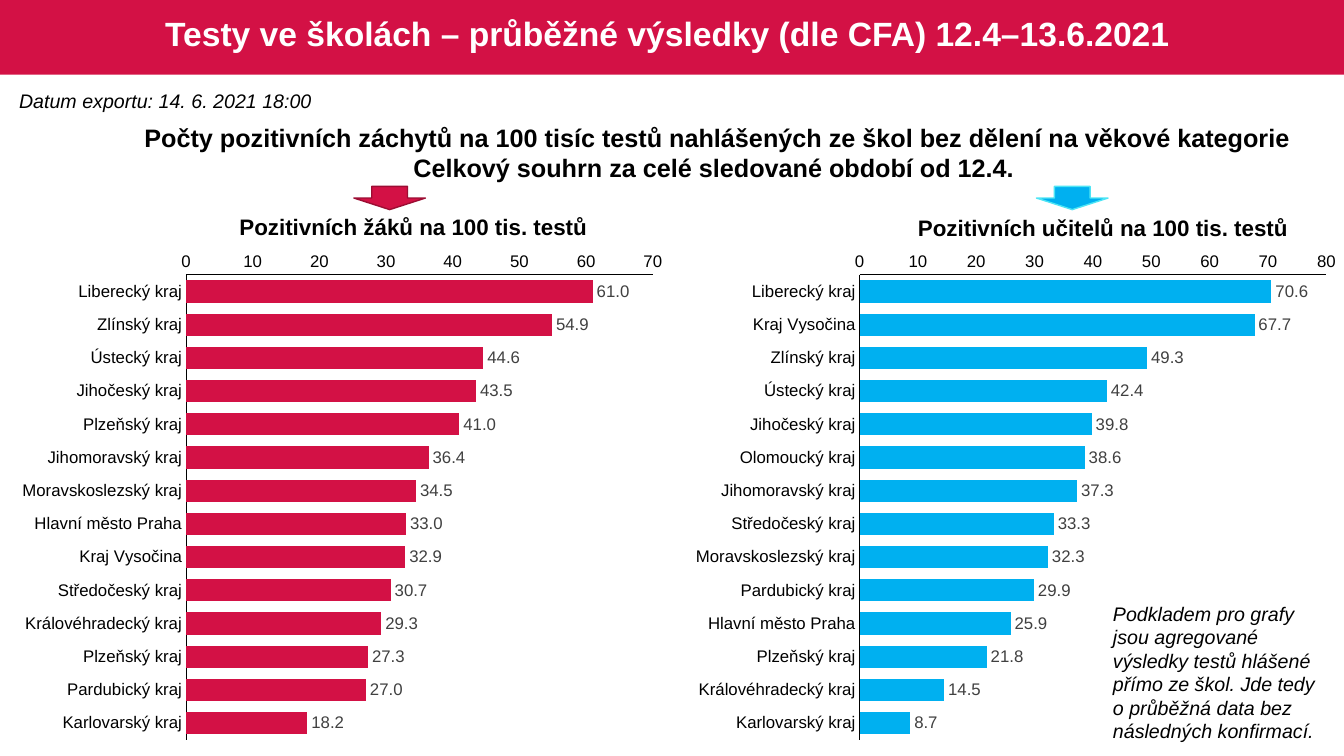
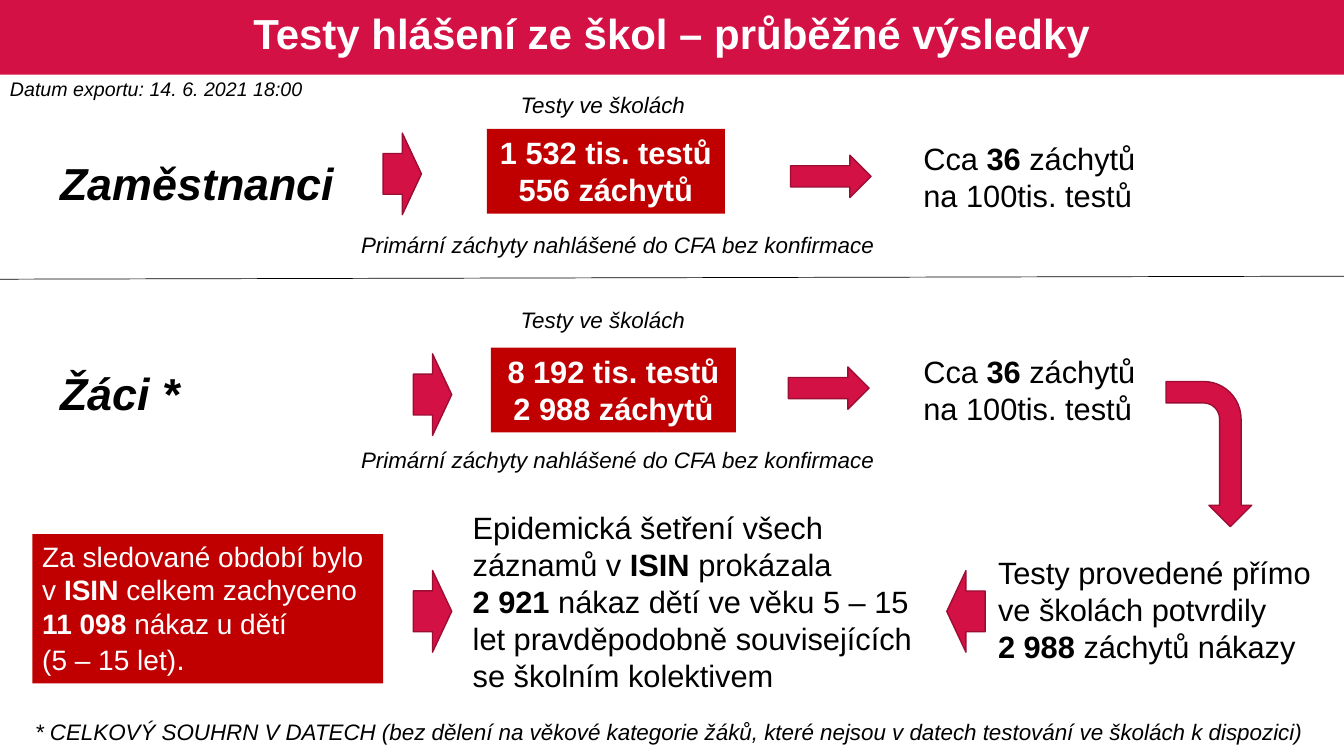
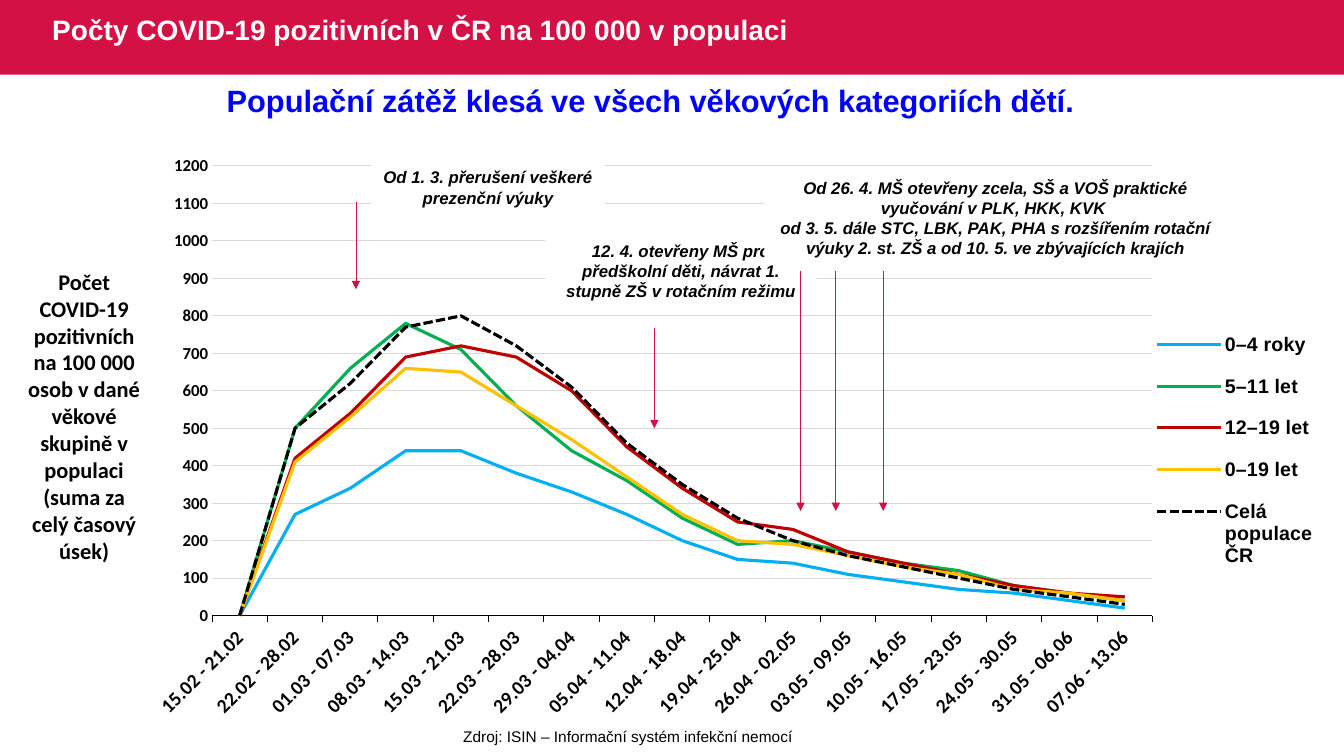
from pptx import Presentation
from pptx.chart.data import CategoryChartData
from pptx.dml.color import RGBColor
from pptx.enum.chart import XL_CHART_TYPE, XL_LABEL_POSITION, XL_LEGEND_POSITION, XL_TICK_MARK
from pptx.enum.dml import MSO_LINE
from pptx.enum.shapes import MSO_CONNECTOR, MSO_SHAPE
from pptx.enum.text import MSO_ANCHOR, PP_ALIGN
from pptx.oxml import parse_xml
from pptx.oxml.ns import nsdecls, qn
from pptx.util import Inches, Pt

W, H = 13.33, 7.5
RECT, DOWN, RIGHT, BENT = MSO_SHAPE.RECTANGLE, MSO_SHAPE.DOWN_ARROW, MSO_SHAPE.RIGHT_ARROW, MSO_SHAPE.BENT_ARROW
LEFT, CENTER = PP_ALIGN.LEFT, PP_ALIGN.CENTER
NONE, OUTSIDE = XL_TICK_MARK.NONE, XL_TICK_MARK.OUTSIDE
C = {
    "crimson": "D31145", "crimson_edge": "9C0D33", "sky": "00B0F0", "sky_edge": "4DE5F5",
    "red": "C00000", "green": "00B050", "amber": "FFC000", "blue": "0000FF",
    "black": "000000", "white": "FFFFFF", "label": "404040", "grid": "D9D9D9",
}

STYLES = {
    "date": dict(size=14, italic=True),
    "note": dict(size=14, italic=True),
    "headline": dict(size=18, bold=True, align=CENTER),
    "chart_title": dict(size=16, bold=True, align=CENTER),
    "group": dict(size=32, bold=True, italic=True),
    "caption": dict(size=16, italic=True, align=CENTER),
    "footnote": dict(size=16, italic=True),
    "counts": dict(size=22, bold=True, color="white", fill="red", align=CENTER),
    "summary": dict(size=20, color="white", fill="red"),
    "fact": dict(size=22, fill="white"),
    "message": dict(size=22, bold=True, color="blue", align=CENTER),
    "axis_title": dict(size=16, bold=True, align=CENTER, font="Calibri"),
    "event": dict(size=12, bold=True, italic=True, fill="white", align=CENTER),
    "source": dict(size=11, align=CENTER),
}
EXPORT_DATE = "Datum exportu: 14. 6. 2021 18:00"

PUPILS = [
    ("Liberecký kraj", 61.0), ("Zlínský kraj", 54.9), ("Ústecký kraj", 44.6), ("Jihočeský kraj", 43.5),
    ("Plzeňský kraj", 41.0), ("Jihomoravský kraj", 36.4), ("Moravskoslezský kraj", 34.5),
    ("Hlavní město Praha", 33.0), ("Kraj Vysočina", 32.9), ("Středočeský kraj", 30.7),
    ("Královéhradecký kraj", 29.3), ("Plzeňský kraj", 27.3), ("Pardubický kraj", 27.0), ("Karlovarský kraj", 18.2),
]
TEACHERS = [
    ("Liberecký kraj", 70.6), ("Kraj Vysočina", 67.7), ("Zlínský kraj", 49.3), ("Ústecký kraj", 42.4),
    ("Jihočeský kraj", 39.8), ("Olomoucký kraj", 38.6), ("Jihomoravský kraj", 37.3),
    ("Středočeský kraj", 33.3), ("Moravskoslezský kraj", 32.3), ("Pardubický kraj", 29.9),
    ("Hlavní město Praha", 25.9), ("Plzeňský kraj", 21.8), ("Královéhradecký kraj", 14.5), ("Karlovarský kraj", 8.7),
]
REGION_CHARTS = [
    ("Pozitivních žáků na 100 tis. testů", (2.25, 2.07, 3.7, 0.37), PUPILS, 0.09, 3.51, "crimson", "crimson_edge"),
    ("Pozitivních učitelů na 100 tis. testů", (8.98, 2.08, 3.92, 0.37), TEACHERS, 6.77, 10.28, "sky", "sky_edge"),
]
REGION_TEXTS = [
    ("date", (0.09, 0.83, 3.12, 0.34), EXPORT_DATE, False),
    ("headline", (1.28, 1.16, 11.67, 0.71),
     "Počty pozitivních záchytů na 100 tisíc testů nahlášených ze škol bez dělení na věkové kategorie\n"
     "Celkový souhrn za celé sledované období od 12.4. ", False),
    ("note", (10.94, 5.92, 2.35, 1.51),
     "Podkladem pro grafy jsou agregované výsledky testů hlášené přímo ze škol. "
     "Jde tedy o průběžná data bez následných konfirmací.", True),
]

GROUPS = [
    ("Zaměstnanci", 1.5, "1 532 tis. testů\n556 záchytů", (4.83, 1.28, 2.36, 0.84), 1.34, 0.86, 2.24),
    ("Žáci *", 3.58, "8 192 tis. testů\n2 988 záchytů", (4.87, 3.45, 2.43, 0.84), 3.45, 2.99, 4.38),
]
FLOW_TEXTS = [
    ("footnote", (0.25, 7.08, 13.23, 0.37),
     "* CELKOVÝ SOUHRN V DATECH (bez dělení na věkové kategorie žáků, "
     "které nejsou v datech testování ve školách k dispozici)", True),
    ("date", (0, 0.71, 3.12, 0.34), EXPORT_DATE, False),
    ("fact", (9.8, 5.44, 3.51, 1.21),
     "Testy provedené přímo ve školách potvrdily\n**2 988 **záchytů nákazy", True),
    ("fact", (4.59, 5, 4.74, 1.95),
     "Epidemická šetření všech záznamů v **ISIN** prokázala\n"
     "**2 921 **nákaz dětí ve věku 5 – 15 let pravděpodobně souvisejících se školním kolektivem", True),
]
SUMMARY = ("Za sledované období bylo v **ISIN** celkem zachyceno\n"
           "**11 098 **nákaz u dětí\n(5 – 15 let)")
FLOW_ARROWS = [
    (RIGHT, (7.84, 1.54, 0.8, 0.42), 0), (RIGHT, (7.82, 3.64, 0.8, 0.42), 0),
    (RIGHT, (3.8, 1.32, 0.38, 0.81), 0), (RIGHT, (4.1, 3.51, 0.38, 0.81), 0),
    (RIGHT, (4.1, 5.66, 0.38, 0.81), 0), (RIGHT, (9.39, 5.66, 0.38, 0.81), 180),
    (BENT, (11.27, 4.08, 1.44, 0.85), 90),
]

WEEKS = [
    "15.02 - 21.02", "22.02 - 28.02", "01.03 - 07.03", "08.03 - 14.03", "15.03 - 21.03", "22.03 - 28.03",
    "29.03 - 04.04", "05.04 - 11.04", "12.04 - 18.04", "19.04 - 25.04", "26.04 - 02.05", "03.05 - 09.05",
    "10.05 - 16.05", "17.05 - 23.05", "24.05 - 30.05", "31.05 - 06.06", "07.06 - 13.06",
]
AGES = [
    ("0–4 roky", "sky", [0, 270, 340, 440, 440, 380, 330, 270, 200, 150, 140, 110, 90, 70, 60, 40, 20]),
    ("5–11 let", "green", [0, 500, 660, 780, 710, 560, 440, 360, 260, 190, 200, 170, 140, 120, 80, 60, 40]),
    ("12–19 let", "red", [0, 420, 540, 690, 720, 690, 600, 450, 340, 250, 230, 170, 140, 110, 80, 60, 50]),
    ("0–19 let", "amber", [0, 410, 530, 660, 650, 560, 470, 370, 270, 200, 190, 160, 130, 110, 70, 60, 40]),
    ("Celá populace ČR", "black", [0, 500, 620, 770, 800, 720, 610, 460, 350, 260, 200, 160, 130, 100, 70, 50, 30]),
]
TREND_TEXTS = [
    ("source", (2.36, 7.16, 7.74, 0.29), "Zdroj: ISIN – Informační systém infekční nemocí", True),
    ("axis_title", (0.15, 2.61, 1.37, 3.06),
     "Počet COVID-19 pozitivních na 100 000 osob v dané věkové skupině v populaci (suma za celý časový úsek)", True),
    ("message", (0.29, 0.76, 12.41, 0.47), "Populační zátěž klesá ve všech věkových kategoriích dětí. ", True),
    ("event", (3.68, 1.61, 2.32, 0.5), "Od 1. 3. přerušení veškeré prezenční výuky", True),
    ("event", (5.41, 2.34, 2.69, 0.71),
     "12. 4. otevřeny MŠ pro předškolní děti, návrat 1. stupně ZŠ v rotačním režimu", True),
    ("event", (7.58, 1.71, 4.59, 0.91),
     "Od 26. 4. MŠ otevřeny zcela, SŠ a VOŠ praktické vyučování v PLK, HKK, KVK \n"
     "od 3. 5. dále STC, LBK, PAK, PHA s rozšířením rotační výuky 2. st. ZŠ a od 10. 5. ve zbývajících krajích", True),
]
EVENT_ARROWS = [(3.53, 2, 2.87), (6.49, 3.25, 4.25), (7.94, 2.69, 5.07), (8.29, 2.69, 5.07), (8.76, 2.69, 5.07)]


def rgb(name):
    return RGBColor.from_string(C[name])


def box(at):
    return [Inches(v) for v in at]


def set_font(font, size, color="black", bold=False, italic=False, name="Arial"):
    font.size, font.bold, font.italic, font.name = Pt(size), bold, italic, name
    font.color.rgb = rgb(color)


def add_shape(s, kind, at, fill, edge=None, rotation=0):
    sp = s.shapes.add_shape(kind, *box(at))
    sp.shadow.inherit = False
    sp.rotation = rotation
    sp.fill.solid()
    sp.fill.fore_color.rgb = rgb(fill)
    if edge:
        sp.line.color.rgb = rgb(edge)
        sp.line.width = Pt(1)
    else:
        sp.line.fill.background()
    return sp


def add_text(s, at, text, size, color="black", bold=False, italic=False,
             align=LEFT, font="Arial", fill=None, wrap=True):
    sp = add_shape(s, RECT, at, fill) if fill else s.shapes.add_textbox(*box(at))
    tf = sp.text_frame
    tf.word_wrap = wrap
    tf.vertical_anchor = MSO_ANCHOR.TOP
    for i, line in enumerate(text.split("\n")):
        p = tf.paragraphs[0] if i == 0 else tf.add_paragraph()
        p.alignment = align
        for j, part in enumerate(line.split("**")):
            if part:
                r = p.add_run()
                r.text = part
                set_font(r.font, size, color, bold or j % 2 == 1, italic, font)
    return tf


def add_texts(s, items):
    for style, at, text, wrap in items:
        add_text(s, at, text, wrap=wrap, **STYLES[style])


def add_line(s, start, end, color, arrow=False):
    line = s.shapes.add_connector(MSO_CONNECTOR.STRAIGHT, *box(start + end))
    line.line.color.rgb = rgb(color)
    line.line.width = Pt(0.5)
    if arrow:
        line.line._get_or_add_ln().append(parse_xml(f'<a:tailEnd {nsdecls("a")} type="triangle"/>'))
    line._element.spPr.append(parse_xml(f'<a:effectLst {nsdecls("a")}/>'))


def new_slide(prs, title, size, at=(0.18, 0.04, 12.97, 0.63), align=CENTER):
    s = prs.slides.add_slide(prs.slide_layouts[6])
    add_shape(s, RECT, (0, 0, W, 0.74), "crimson")
    tf = add_text(s, at, title, size, "white", bold=True, align=align)
    tf.vertical_anchor = MSO_ANCHOR.MIDDLE
    tf.paragraphs[0].line_spacing = 0.9
    return s


def add_chart(s, kind, at, cats, series):
    data = CategoryChartData()
    data.categories = cats
    for name, values in series:
        data.add_series(name, values)
    chart = s.shapes.add_chart(kind, *box(at), data).chart
    chart.has_title = chart.has_legend = False
    chart.plots[0].vary_by_categories = False
    return chart


def style_axis(axis, size, tick=NONE, bold=False, name="Arial"):
    axis.major_tick_mark, axis.minor_tick_mark = tick, NONE
    axis.has_major_gridlines = False
    set_font(axis.tick_labels.font, size, bold=bold, name=name)
    axis.format.line.color.rgb = rgb("black")
    axis.format.line.width = Pt(0.75)


def layout_xml(x, y, w, h, target=""):
    shares = "".join(f'<c:{k} val="{v}"/>' for k, v in zip("xywh", (x, y, w, h)))
    return parse_xml(f'<c:layout {nsdecls("c")}><c:manualLayout>{target}<c:xMode val="edge"/>'
                     f'<c:yMode val="edge"/>{shares}</c:manualLayout></c:layout>')


def drop_layout(element):
    for old in element.findall(qn("c:layout")):
        element.remove(old)


def add_region_chart(s, left, rows, color):
    cats, values = zip(*rows)
    chart = add_chart(s, XL_CHART_TYPE.BAR_CLUSTERED, (left, 2.41, 6.61, 5.03), cats, [("Series 1", values)])
    set_font(chart.font, 10)
    for axis in (chart.category_axis, chart.value_axis):
        style_axis(axis, 12)
    chart.category_axis.reverse_order = True
    chart.value_axis.minimum_scale = 0
    chart.value_axis.tick_labels.number_format = "0"
    chart.value_axis.tick_labels.number_format_is_linked = False
    plot = chart.plots[0]
    plot.gap_width = 50
    fill = plot.series[0].format.fill
    fill.solid()
    fill.fore_color.rgb = rgb(color)
    plot.has_data_labels = True
    labels = plot.data_labels
    labels.show_value = True
    labels.number_format, labels.number_format_is_linked = "#,##0.0", False
    labels.position = XL_LABEL_POSITION.OUTSIDE_END
    set_font(labels.font, 12, "label")


def add_trend_chart(s):
    chart = add_chart(s, XL_CHART_TYPE.LINE, (1.52, 1.53, 11.66, 5.87), WEEKS, [(n, v) for n, _, v in AGES])
    set_font(chart.font, 14, bold=True)
    cat, val = chart.category_axis, chart.value_axis
    style_axis(cat, 14, OUTSIDE, True, "Calibri")
    cat._element.find(qn("c:txPr")).find(qn("a:bodyPr")).set("rot", "-2700000")
    style_axis(val, 12, NONE, True, "Calibri")
    val.format.line.fill.background()
    val.minimum_scale, val.maximum_scale, val.major_unit = 0, 1200, 100
    val.has_major_gridlines = True
    val.major_gridlines.format.line.color.rgb = rgb("grid")
    val.major_gridlines.format.line.width = Pt(0.75)
    for ser, (_, color, _) in zip(chart.plots[0].series, AGES):
        ser.smooth = False
        ser.format.line.color.rgb = rgb(color)
        ser.format.line.width = Pt(2.25)
    ser.format.line.dash_style = MSO_LINE.SQUARE_DOT
    chart.has_legend = True
    legend = chart.legend
    legend.position = XL_LEGEND_POSITION.RIGHT
    legend.include_in_layout = False
    set_font(legend.font, 14, bold=True)
    drop_layout(legend._element)
    legend._element.find(qn("c:legendPos")).addnext(layout_xml(0.85, 0.27, 0.14, 0.46))
    area = chart._chartSpace.chart.plotArea
    drop_layout(area)
    area.insert(0, layout_xml(0.05, 0.02, 0.8, 0.76, '<c:layoutTarget val="inner"/>'))


def build_regions(prs):
    s = new_slide(prs, "Testy ve školách – průběžné výsledky (dle CFA) 12.4–13.6.2021 ", 24)
    for title, at, rows, left, arrow_left, color, edge in REGION_CHARTS:
        add_region_chart(s, left, rows, color)
        add_text(s, at, title, wrap=False, **STYLES["chart_title"])
        add_shape(s, DOWN, (arrow_left, 1.85, 0.71, 0.23), color, edge)
    add_texts(s, REGION_TEXTS)


def build_flow(prs):
    s = new_slide(prs, "Testy hlášení ze škol – průběžné výsledky", 30)
    for name, name_top, counts, counts_at, rate_top, caption_top, remark_top in GROUPS:
        add_texts(s, [
            ("counts", counts_at, counts, True),
            ("fact", (9.06, rate_top, 2.71, 0.84), "Cca **36** záchytů na 100tis. testů", True),
            ("group", (0.5, name_top, 3.03, 0.64), name, True),
            ("caption", (3.99, caption_top, 4.04, 0.37), "Testy ve školách ", True),
            ("caption", (1.82, remark_top, 8.61, 0.37), "Primární záchyty nahlášené do CFA bez konfirmace", True),
        ])
    add_texts(s, FLOW_TEXTS)
    tf = add_text(s, (0.32, 5.3, 3.48, 1.48), SUMMARY, **STYLES["summary"])
    r = tf.paragraphs[-1].add_run()
    r.text = "."
    set_font(r.font, 22, "white")
    add_line(s, (0, 2.77), (W, 2.74), "black")
    for kind, at, rotation in FLOW_ARROWS:
        add_shape(s, kind, at, "crimson", "crimson_edge", rotation)


def build_trend(prs):
    s = new_slide(prs, "Počty COVID-19 pozitivních v ČR na 100 000 v populaci", 20, (0.42, 0, 8.37, 0.63), LEFT)
    add_trend_chart(s)
    add_texts(s, TREND_TEXTS)
    for x, top, bottom in EVENT_ARROWS:
        add_line(s, (x, top), (x, bottom), "crimson", arrow=True)


def main():
    prs = Presentation()
    prs.slide_width, prs.slide_height = Inches(W), Inches(H)
    for build in (build_regions, build_flow, build_trend):
        build(prs)
    prs.save("out.pptx")


if __name__ == "__main__":
    main()
